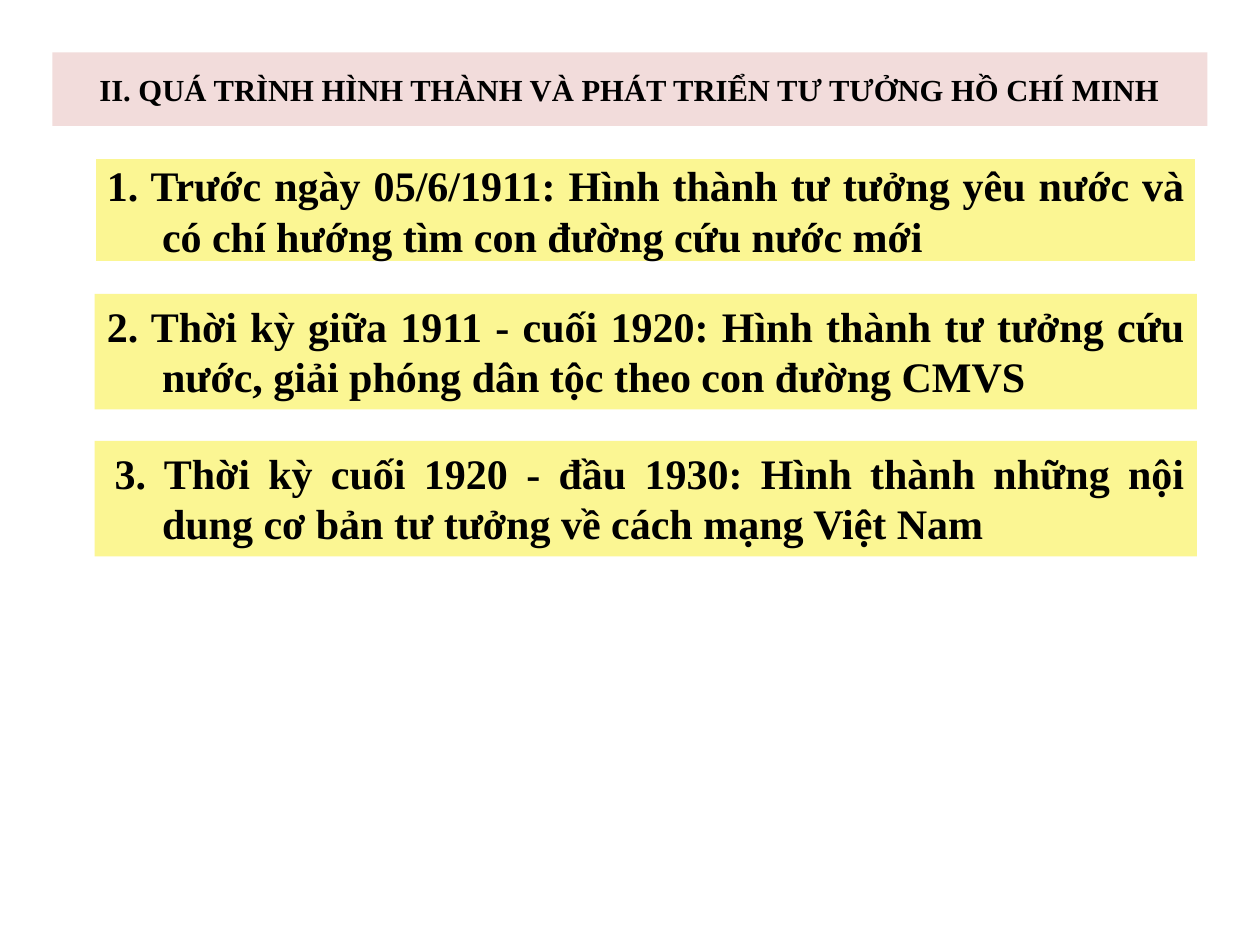
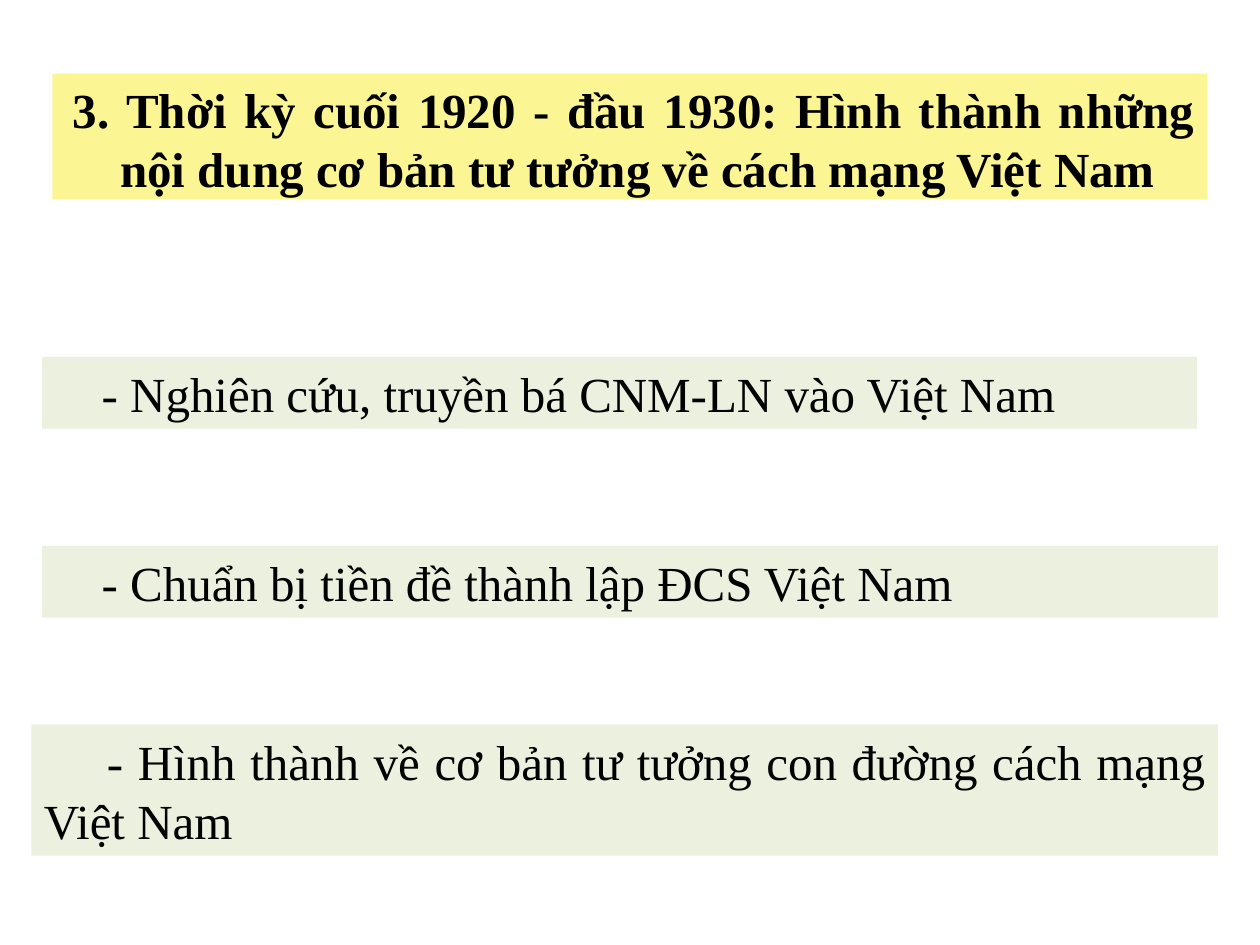
from pptx import Presentation
from pptx.dml.color import RGBColor
from pptx.enum.shapes import MSO_SHAPE
from pptx.enum.text import MSO_ANCHOR, MSO_AUTO_SIZE, PP_ALIGN
from pptx.util import Pt

COLORS = {
    "text": "000000",
    "chapter": "F2DCDB",
    "period": "FBF693",
    "point": "EBF1DE",
    "outline": "FFFFFF",
}
FONT = "Times New Roman"
HANGING = 31.5
THIRD_PERIOD = (
    "3. Thời kỳ cuối 1920 - đầu 1930: Hình thành những nội dung "
    "cơ bản tư tưởng về cách mạng Việt Nam"
)


def place(shape, left, top, width, height, color):
    """Position a shape and give it a plain fill."""
    shape.left, shape.top = Pt(left), Pt(top)
    shape.width, shape.height = Pt(width), Pt(height)
    shape.fill.solid()
    shape.fill.fore_color.rgb = RGBColor.from_string(COLORS[color])
    shape.line.fill.background()
    shape.shadow.inherit = False


def write(shape, text, size, bold=True, margin=0, indent=0,
          align=PP_ALIGN.JUSTIFY, anchor=MSO_ANCHOR.MIDDLE):
    """Fill a shape with one paragraph; margin and indent are in points."""
    frame = shape.text_frame
    frame.word_wrap = True
    frame.auto_size = MSO_AUTO_SIZE.NONE
    frame.vertical_anchor = anchor
    paragraph = frame.paragraphs[0]
    paragraph.alignment = align
    properties = paragraph._p.get_or_add_pPr()
    properties.set("marL", str(Pt(margin)))
    properties.set("indent", str(Pt(indent)))
    run = paragraph.add_run()
    run.text = text
    run.font.name = FONT
    run.font.size = Pt(size)
    run.font.bold = bold
    run.font.color.rgb = RGBColor.from_string(COLORS["text"])


presentation = Presentation()
presentation.slide_width = Pt(720)
presentation.slide_height = Pt(540)
title_only = presentation.slide_layouts[5]

# Slide 1: the periods of the chapter
slide = presentation.slides.add_slide(title_only)
title = slide.shapes.title
place(title, 30, 30, 660, 42, "chapter")
write(title, "II. QUÁ TRÌNH HÌNH THÀNH VÀ PHÁT TRIỂN TƯ TƯỞNG HỒ CHÍ MINH",
      17.5, align=PP_ALIGN.CENTER)

periods = [
    ("1. Trước ngày 05/6/1911: Hình thành tư tưởng yêu nước và "
     "có chí hướng tìm con đường cứu nước mới",
     90, 60, -HANGING, MSO_ANCHOR.MIDDLE),
    ("2. Thời kỳ giữa 1911 - cuối 1920: Hình thành tư tưởng cứu nước, "
     "giải phóng dân tộc theo con đường CMVS",
     168, 66, -HANGING, MSO_ANCHOR.TOP),
    (THIRD_PERIOD, 252, 66, -27, MSO_ANCHOR.TOP),
]
period_boxes = []
for text, top, height, indent, anchor in periods:
    box = slide.shapes.add_shape(MSO_SHAPE.RECTANGLE, 0, 0, 0, 0)
    place(box, 54, top, 630, height, "period")
    write(box, text, 24, margin=HANGING, indent=indent, anchor=anchor)
    period_boxes.append(box)

first_outline = period_boxes[0].line
first_outline.color.rgb = RGBColor.from_string(COLORS["outline"])
first_outline.width = Pt(2)

# Slide 2: the third period in detail
slide = presentation.slides.add_slide(title_only)
title = slide.shapes.title
place(title, 30, 42, 660, 72, "period")
write(title, THIRD_PERIOD, 28, margin=HANGING, indent=-27,
      anchor=MSO_ANCHOR.TOP)

points = [
    ("- Nghiên cứu, truyền bá CNM-LN vào Việt Nam", 24, 204, 660, 41, 27),
    ("- Chuẩn bị tiền đề thành lập ĐCS Việt Nam", 24, 312, 672, 41, 27),
    ("- Hình thành về cơ bản tư tưởng con đường cách mạng Việt Nam",
     18, 414, 678, 75, 36),
]
for text, left, top, width, height, indent in points:
    box = slide.shapes.add_shape(MSO_SHAPE.RECTANGLE, 0, 0, 0, 0)
    place(box, left, top, width, height, "point")
    write(box, text, 28, bold=False, indent=indent)
    box.text_frame.auto_size = MSO_AUTO_SIZE.SHAPE_TO_FIT_TEXT

presentation.save("out.pptx")
